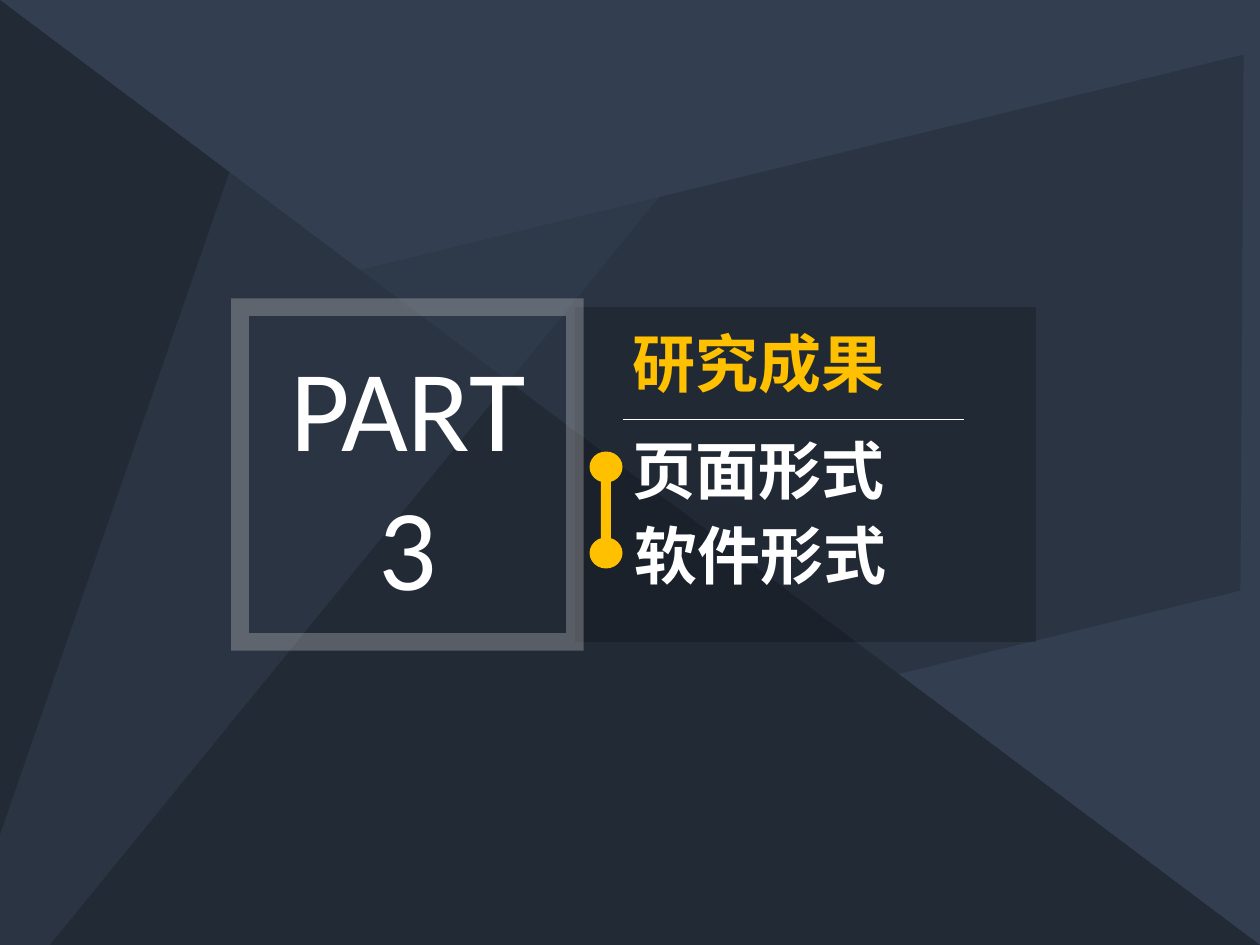
import pptx
import pptx.util
import pptx.dml.color
import pptx.enum.shapes
import pptx.enum.text
import pptx.oxml.ns
from lxml import etree

RGB = pptx.dml.color.RGBColor
SHAPE = pptx.enum.shapes.MSO_SHAPE
ALIGN = pptx.enum.text.PP_ALIGN
qn = pptx.oxml.ns.qn

SLATE = RGB(0x33, 0x3F, 0x50)
NIGHT = RGB(0x22, 0x2A, 0x35)
BLACK = RGB(0, 0, 0)
SILVER = RGB(0xD9, 0xD9, 0xD9)
WHITE = RGB(0xFF, 0xFF, 0xFF)
AMBER = RGB(0xFF, 0xC0, 0x00)

EMU_PER_PX = 914400 / 126
LATIN, HAN = "Calibri", "Noto Sans CJK SC"

BACKDROP = [
    (SHAPE.ISOSCELES_TRIANGLE, (0, 0, 1260, 945), 0, NIGHT, 100, 0),
    (SHAPE.PARALLELOGRAM, (-67, 212, 1392, 520), 346.3, NIGHT, 50, 0.25),
    (SHAPE.ISOSCELES_TRIANGLE, (112, -146, 512, 1401), 199.1, SLATE, 50, 1),
]
PANEL = (575, 307, 461, 335)
FRAME = (240, 307, 335, 335)
RULE = (623, 419, 964, 419)
TEXTS = [
    (["PART", "3"], (258, 330, 300, 292), 66, LATIN, WHITE, False, ALIGN.CENTER),
    (["研究成果"], (620, 318, 461, 89), 36, HAN, AMBER, True, ALIGN.LEFT),
    (["页面形式"], (620, 425, 457, 89), 36, HAN, WHITE, True, ALIGN.LEFT),
    (["软件形式"], (622, 510, 457, 89), 36, HAN, WHITE, True, ALIGN.LEFT),
]
LINK_X, LINK_WIDTH, LINK_TOP, LINK_MIDDLE, LINK_BOTTOM = 606, 10, 466, 510, 554
DOT_WIDTH, DOT_HEIGHT, DOT_CENTRES = 33, 31, (467, 553)


def emu(*lengths):
    return [round(length * EMU_PER_PX) for length in lengths]


def set_opacity(colour_format, percent):
    if percent < 100:
        colour = colour_format._xFill.find(qn("a:srgbClr"))
        etree.SubElement(colour, qn("a:alpha"), val=str(percent * 1000))


def add_shape(slide, kind, box, colour, opacity=100):
    shape = slide.shapes.add_shape(kind, *emu(*box))
    shape.shadow.inherit = False
    shape.line.fill.background()
    shape.fill.solid()
    shape.fill.fore_color.rgb = colour
    set_opacity(shape.fill.fore_color, opacity)
    return shape


def add_frame(slide):
    frame = slide.shapes.add_shape(SHAPE.RECTANGLE, *emu(*FRAME))
    frame.shadow.inherit = False
    frame.fill.background()
    frame.line.width = pptx.util.Pt(10)
    frame.line.color.rgb = SILVER
    set_opacity(frame.line.color, 30)
    outline = frame._element.spPr.find(qn("a:ln"))
    etree.SubElement(outline, qn("a:miter"), lim="800000")


def add_text(slide, lines, box, size, typeface, colour, bold, align):
    text_frame = slide.shapes.add_textbox(*emu(*box)).text_frame
    text_frame.word_wrap = True
    text_frame.text = "\n".join(lines)
    for paragraph in text_frame.paragraphs:
        paragraph.alignment = align
        font = paragraph.font
        font.size = pptx.util.Pt(size)
        font.name = typeface
        font.bold = bold
        font.color.rgb = colour
        etree.SubElement(font._element, qn("a:ea"), typeface=typeface)


def add_rule(slide):
    rule = slide.shapes.add_connector(
        pptx.enum.shapes.MSO_CONNECTOR.STRAIGHT, *emu(*RULE))
    rule.line.color.rgb = WHITE
    rule.line.width = pptx.util.Pt(0.5)
    etree.SubElement(rule._element.spPr, qn("a:effectLst"))


def add_link(slide):
    left = LINK_X - LINK_WIDTH / 2
    for top, bottom in ((LINK_TOP, LINK_MIDDLE), (LINK_MIDDLE, LINK_BOTTOM)):
        add_shape(slide, SHAPE.RECTANGLE,
                  (left, top, LINK_WIDTH, bottom - top), AMBER)
    for centre in DOT_CENTRES:
        dot = (LINK_X - DOT_WIDTH / 2, centre - DOT_HEIGHT / 2, DOT_WIDTH, DOT_HEIGHT)
        add_shape(slide, SHAPE.OVAL, dot, AMBER)


def main():
    deck = pptx.Presentation()
    deck.slide_width, deck.slide_height = emu(1260, 945)
    slide = deck.slides.add_slide(deck.slide_layouts[6])
    slide.background.fill.solid()
    slide.background.fill.fore_color.rgb = SLATE

    for kind, box, rotation, colour, opacity, adjustment in BACKDROP:
        facet = add_shape(slide, kind, box, colour, opacity)
        facet.rotation = rotation
        facet.adjustments[0] = adjustment

    add_shape(slide, SHAPE.RECTANGLE, PANEL, BLACK, 20)
    add_frame(slide)
    for text in TEXTS:
        add_text(slide, *text)
    add_rule(slide)
    add_link(slide)
    deck.save("out.pptx")


if __name__ == "__main__":
    main()
